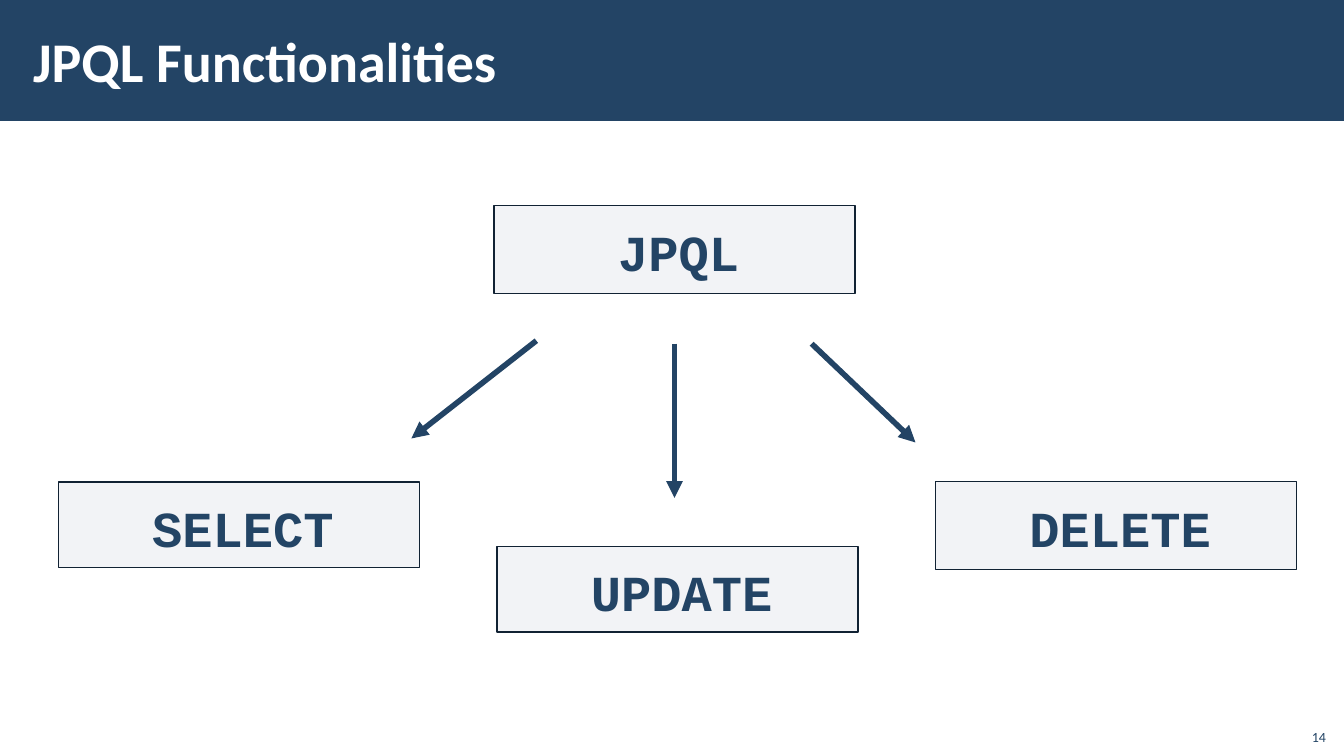
import pptx
import pptx.dml.color
import pptx.enum.shapes
import pptx.enum.text
import pptx.oxml.ns
import pptx.util
from lxml import etree

Inches = pptx.util.Inches
Pt = pptx.util.Pt
qn = pptx.oxml.ns.qn
ANCHOR = pptx.enum.text.MSO_ANCHOR
ALIGN = pptx.enum.text.PP_ALIGN
AUTO_SIZE = pptx.enum.text.MSO_AUTO_SIZE

TITLE = "JPQL Functionalities"
PAGE_NUMBER = "14"
BOX_WIDTH = 3.58
# Label, left, top, height
BOXES = [
    ("JPQL", 4.9, 2.04, 0.87),
    ("SELECT", 0.58, 4.78, 0.85),
    ("UPDATE", 4.93, 5.42, 0.85),
    ("DELETE", 9.28, 4.78, 0.87),
]
# Start and end of each arrow
ARROWS = [
    ((5.32, 3.38), (4.08, 4.35)),
    ((8.05, 3.41), (9.08, 4.39)),
    ((6.69, 3.41), (6.69, 4.94)),
]

THEME = {
    "navy": "234465",
    "outline": "112233",
    "box_fill": "ADB4C3",
    "box_opacity": 15,
    "title": {"name": "Calibri", "size": Pt(40), "bold": True, "color": "FFFFFF"},
    "box": {"name": "Courier New", "size": Pt(36), "bold": True, "color": "234465"},
    "number": {"name": "Calibri", "size": Pt(10), "bold": False, "color": "234465"},
}


def rgb(value):
    return pptx.dml.color.RGBColor.from_string(value)


def write_text(shape, text, style, alignment, margins, **frame_format):
    """Fill a shape with one paragraph; margins are horizontal and vertical inches."""
    frame = shape.text_frame
    horizontal, vertical = map(Inches, margins)
    frame_format.update(
        word_wrap=True, margin_left=horizontal, margin_right=horizontal,
        margin_top=vertical, margin_bottom=vertical,
    )
    for name, value in frame_format.items():
        setattr(frame, name, value)
    paragraph = frame.paragraphs[0]
    paragraph.alignment = alignment
    run = paragraph.add_run()
    run.text = text
    for name, value in style.items():
        if name == "color":
            run.font.color.rgb = rgb(value)
        else:
            setattr(run.font, name, value)
    return paragraph


def add_rectangle(slide, left, top, width, height, color):
    shape = slide.shapes.add_shape(
        pptx.enum.shapes.MSO_SHAPE.RECTANGLE, *map(Inches, (left, top, width, height)))
    shape.shadow.inherit = False
    shape.fill.solid()
    shape.fill.fore_color.rgb = rgb(color)
    return shape


def add_box(slide, label, left, top, height):
    box = add_rectangle(slide, left, top, BOX_WIDTH, height, THEME["box_fill"])
    fill_color = box.element.spPr.find(qn("a:solidFill")).find(qn("a:srgbClr"))
    etree.SubElement(fill_color, qn("a:alpha"), val=str(THEME["box_opacity"] * 1000))
    box.line.color.rgb = rgb(THEME["outline"])
    box.line.width = Pt(1)
    paragraph = write_text(
        box, label, THEME["box"], ALIGN.CENTER, (0.16, 0.12),
        vertical_anchor=ANCHOR.TOP, auto_size=AUTO_SIZE.SHAPE_TO_FIT_TEXT)
    paragraph.line_spacing = 1.05
    properties = paragraph._p.get_or_add_pPr()
    properties.set("marL", str(Inches(0.08)))
    properties.set("indent", "0")


def add_arrow(slide, start, end):
    arrow = slide.shapes.add_connector(
        pptx.enum.shapes.MSO_CONNECTOR.STRAIGHT, *map(Inches, start + end))
    arrow.line.color.rgb = rgb(THEME["navy"])
    arrow.line.width = Pt(4)
    etree.SubElement(arrow.line._get_or_add_ln(), qn("a:tailEnd"), type="triangle")
    etree.SubElement(arrow.element.spPr, qn("a:effectLst"))


def main():
    presentation = pptx.Presentation()
    presentation.slide_width = Inches(13.33)
    presentation.slide_height = Inches(7.5)
    slide = presentation.slides.add_slide(presentation.slide_layouts[6])

    banner = add_rectangle(slide, 0, 0, 13.33, 1.2, THEME["navy"])
    banner.line.fill.background()
    title = slide.shapes.add_textbox(*map(Inches, (0.21, 0.11, 10.63, 0.97)))
    write_text(title, TITLE, THEME["title"], ALIGN.LEFT, (0.12, 0.04),
               vertical_anchor=ANCHOR.MIDDLE)

    for box in BOXES:
        add_box(slide, *box)
    for start, end in ARROWS:
        add_arrow(slide, start, end)

    number = slide.shapes.add_textbox(*map(Inches, (12.85, 7.12, 0.4, 0.32)))
    write_text(number, PAGE_NUMBER, THEME["number"], ALIGN.RIGHT, (0.1, 0.05),
               vertical_anchor=ANCHOR.BOTTOM)
    presentation.save("out.pptx")


if __name__ == "__main__":
    main()
